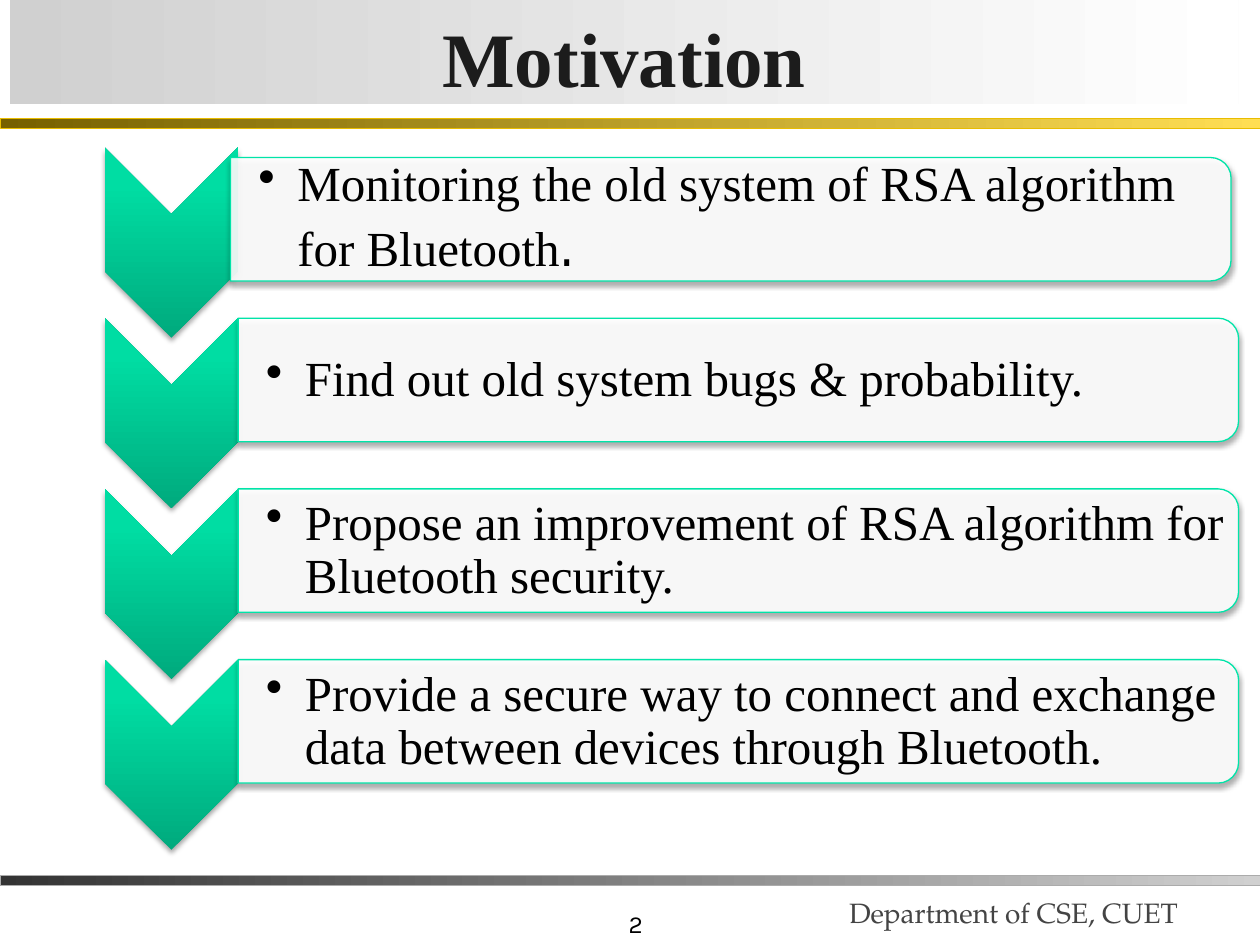
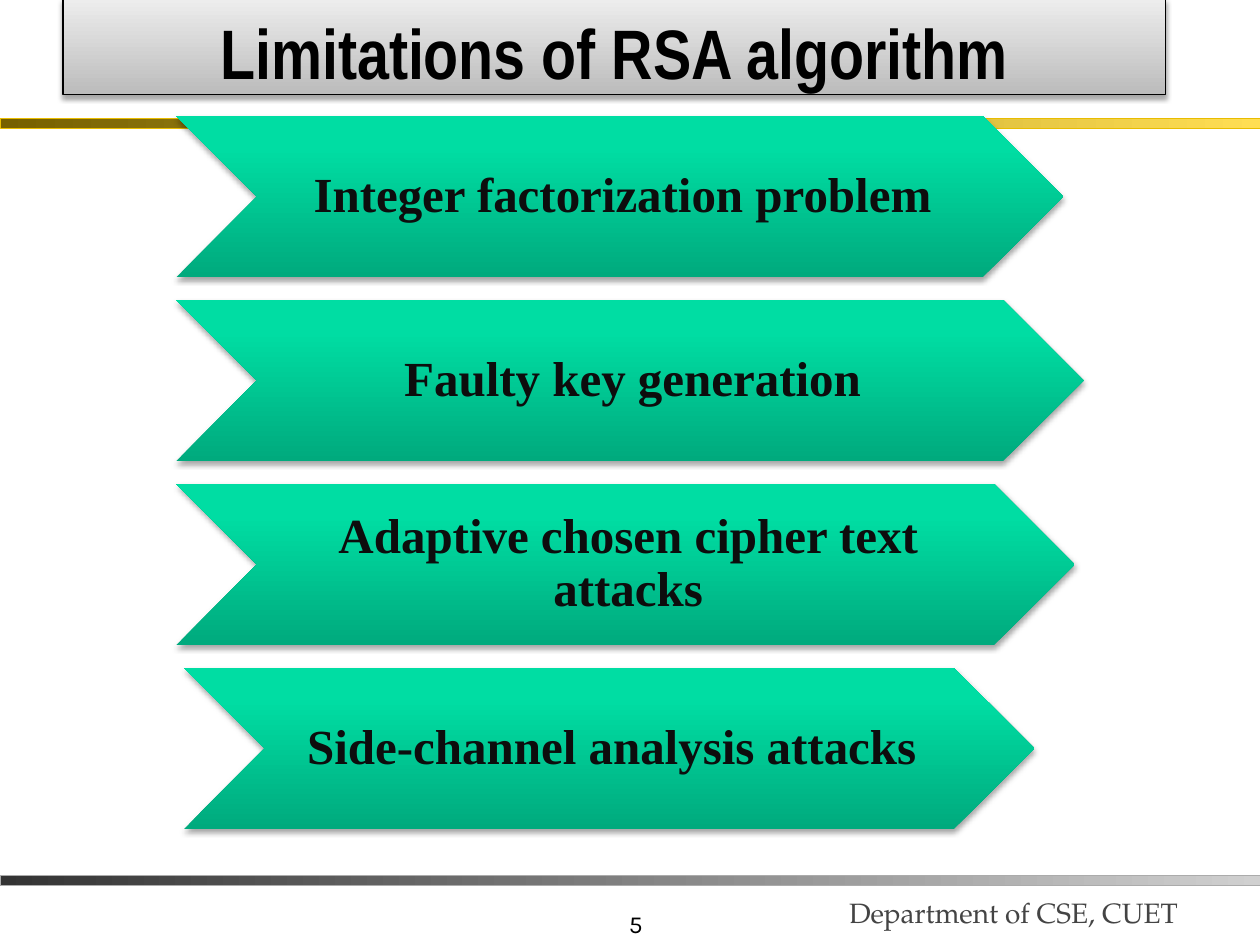
from lxml import etree
from pptx import Presentation
from pptx.dml.color import RGBColor
from pptx.enum.shapes import MSO_SHAPE
from pptx.enum.text import MSO_ANCHOR, PP_ALIGN
from pptx.oxml import parse_xml
from pptx.oxml.ns import nsdecls, qn
from pptx.util import Inches, Pt

COLORS = {
    "white": "FFFFFF", "black": "000000", "title": "1C1C1C", "label": "0D0D0D",
    "footer": "444444", "gray": "D0D0D0", "charcoal": "333333", "gray_line": "ABABAB",
    "gold_dark": "766000", "gold": "FFDE53", "gold_line": "E8BC00",
    "pale": "EDEDED", "silver": "BCBCBC", "mint_line": "00E4A8",
    "green": "00AA7D", "mint": "00DDA3", "mint_top": "00DEA4",
}
SERIF, NARROW = "Times New Roman", "Arial Narrow"
GREEN_STOPS = [(0, "green"), (80, "mint"), (100, "mint_top")]


def rgb(name):
    return RGBColor.from_string(COLORS[name])


# ---- Shared helpers: boxes are (left, top, width, height) in inches ----
def set_gradient(sp, stops, angle):
    sp.fill.background()
    gs = "".join(f'<a:gs pos="{pos * 1000}"><a:srgbClr val="{COLORS[c]}"/></a:gs>'
                 for pos, c in stops)
    grad = parse_xml(f'<a:gradFill {nsdecls("a")} rotWithShape="0"><a:gsLst>{gs}</a:gsLst>'
                     f'<a:lin ang="{angle * 60000}" scaled="0"/></a:gradFill>')
    spPr = sp._element.spPr
    spPr.replace(spPr.find(qn("a:noFill")), grad)


def add_shadow(sp):
    effects = sp._element.spPr.find(qn("a:effectLst"))
    effects.append(parse_xml(
        f'<a:outerShdw {nsdecls("a")} blurRad="{Pt(3.1)}" dist="{Pt(1.8)}" dir="5400000" '
        'rotWithShape="0"><a:srgbClr val="000000"><a:alpha val="35000"/></a:srgbClr>'
        '</a:outerShdw>'))


def add_shape(s, kind, box, stops=None, angle=0, line=None, weight=0.25, shadow=False,
              quarter_turn=False):
    x, y, w, h = box
    if quarter_turn:  # the frame is set before turning, about the same centre
        x, y, w, h = x + (w - h) / 2, y + (h - w) / 2, h, w
    sp = s.shapes.add_shape(kind, *map(Inches, (x, y, w, h)))
    sp.rotation = 90 if quarter_turn else 0
    sp.shadow.inherit = False
    if stops:
        set_gradient(sp, stops, angle)
    if line:
        sp.line.color.rgb = rgb(line)
        sp.line.width = Pt(weight)
    else:
        sp.line.fill.background()
    if shadow:
        add_shadow(sp)
    return sp


def write_text(sp, runs, font=SERIF, size=28, color="black", bold=False,
               align=PP_ALIGN.LEFT, anchor=MSO_ANCHOR.MIDDLE,
               insets=(0.1, 0.05, 0.1, 0.05), spacing=None, bullet=False):
    """runs is a string, or a list of (text, font, size)."""
    tf = sp.text_frame
    tf.word_wrap = True
    tf.vertical_anchor = anchor
    (tf.margin_left, tf.margin_top,
     tf.margin_right, tf.margin_bottom) = map(Inches, insets)
    p = tf.paragraphs[0]
    p.alignment = align
    p.line_spacing = spacing
    if bullet:
        pPr = p._p.get_or_add_pPr()
        pPr.set("marL", str(Inches(0.31)))
        pPr.set("indent", str(Inches(-0.31)))
        etree.SubElement(pPr, qn("a:buChar")).set("char", "•")
    if isinstance(runs, str):
        runs = [(runs, font, size)]
    for text, name, points in runs:
        r = p.add_run()
        r.text = text
        r.font.name, r.font.size, r.font.bold = name, Pt(points), bold
        r.font.color.rgb = rgb(color)


def add_text(s, box, runs, **fmt):
    write_text(s.shapes.add_textbox(*map(Inches, box)), runs, **fmt)


# ---- Regions of every slide ----
def add_frame(s, number):
    add_text(s, (3.12, 7, 2.08, 0.5), number, font="Karla", size=14,
             align=PP_ALIGN.RIGHT, anchor=MSO_ANCHOR.BOTTOM)
    add_text(s, (6.64, 6.8, 3.44, 0.62), "Department of CSE, CUET",
             font="TeX Gyre Pagella", size=16, color="footer", anchor=MSO_ANCHOR.BOTTOM)
    for top, start, end, line in ((6.95, "charcoal", "gray", "gray_line"),
                                  (0.94, "gold_dark", "gold", "gold_line")):
        add_shape(s, MSO_SHAPE.RECTANGLE, (0, top, 10, 0.08),
                  [(0, start), (100, end)], line=line)


def add_title(s, box, text, stops, font, size, color, **look):
    sp = add_shape(s, MSO_SHAPE.RECTANGLE, box, stops, **look)
    write_text(sp, text, font=font, size=size, color=color, bold=True,
               align=PP_ALIGN.CENTER, anchor=MSO_ANCHOR.BOTTOM,
               insets=(0.02, 0.01, 0.02, 0.01))


# ---- Motivation: down chevrons with a text panel beside each ----
def add_chevron_list(s, left, top, pitch, items):
    for i, (runs, dx, dy) in enumerate(items):
        y = top + i * pitch
        add_shape(s, MSO_SHAPE.CHEVRON, (left, y, 1.06, 1.51), GREEN_STOPS, 270,
                  shadow=True, quarter_turn=True)
        x, y = left + 1.06 + dx, y + dy
        panel = add_shape(s, MSO_SHAPE.ROUND_2_SAME_RECTANGLE, (x, y, 7.94, 0.98),
                          line="mint_line", weight=0.75, shadow=True, quarter_turn=True)
        panel.fill.solid()
        panel.fill.fore_color.rgb = rgb("white")
        tint = panel._element.spPr.find(qn("a:solidFill"))[0]
        etree.SubElement(tint, qn("a:alpha")).set("val", "90000")
        add_text(s, (x, y + 0.05, 7.89, 0.89), runs, insets=(0.22, 0.02, 0.02, 0.02),
                 spacing=0.9, bullet=True)


# ---- Limitations: stacked arrows of differing width ----
def add_arrow_stack(s, left, top, pitch, items):
    height = 1.28
    for i, (text, dx, width) in enumerate(items):
        x, y = left + dx, top + i * pitch
        add_shape(s, MSO_SHAPE.CHEVRON, (x, y, width, height), GREEN_STOPS, 270, shadow=True)
        add_text(s, (x + height / 2, y, width - height, height), text, color="label",
                 bold=True, align=PP_ALIGN.CENTER, insets=(0.04, 0.02, 0, 0.02), spacing=0.9)


def motivation_slide(s):
    add_frame(s, "2")
    add_title(s, (0.08, 0, 9.75, 0.83), "Motivation", [(0, "gray"), (100, "white")],
              SERIF, 44, "title")
    first = [("Monitoring the old system of RSA algorithm for Bluetooth", SERIF, 28),
             (".", NARROW, 36)]
    add_chevron_list(s, 0.83, 1.17, 1.355, [
        (first, -0.06, 0.08),
        ("Find out old system bugs & probability.", 0, 0),
        ("Propose an improvement of RSA algorithm for Bluetooth security.", 0, 0),
        ("Provide a secure way to connect and exchange data between devices "
         "through Bluetooth.", 0, 0),
    ])


def limitations_slide(s):
    add_frame(s, "5")
    add_title(s, (0.5, -0.01, 8.75, 0.76), "Limitations of RSA algorithm",
              [(0, "pale"), (100, "silver")], NARROW, 40, "black",
              angle=90, line="black", weight=0.75, shadow=True)
    add_arrow_stack(s, 1.4, 0.92, 1.46, [
        ("Integer factorization problem", 0, 7.04),
        ("Faulty key generation", 0, 7.2),
        ("Adaptive chosen cipher text attacks", 0, 7.13),
        ("Side-channel analysis attacks", 0.06, 6.75),
    ])


def main():
    prs = Presentation()
    prs.slide_width, prs.slide_height = Inches(10), Inches(7.5)
    for build in (motivation_slide, limitations_slide):
        build(prs.slides.add_slide(prs.slide_layouts[6]))
    prs.save("out.pptx")


if __name__ == "__main__":
    main()
